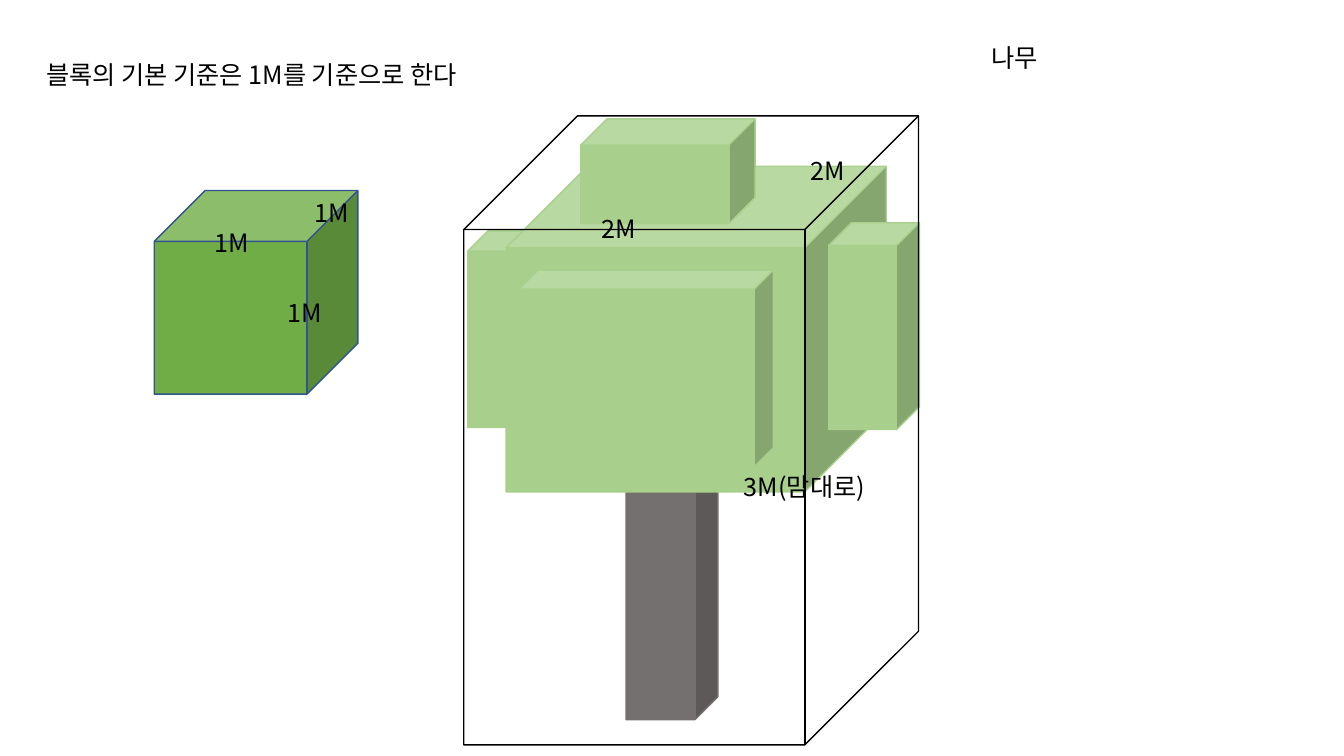
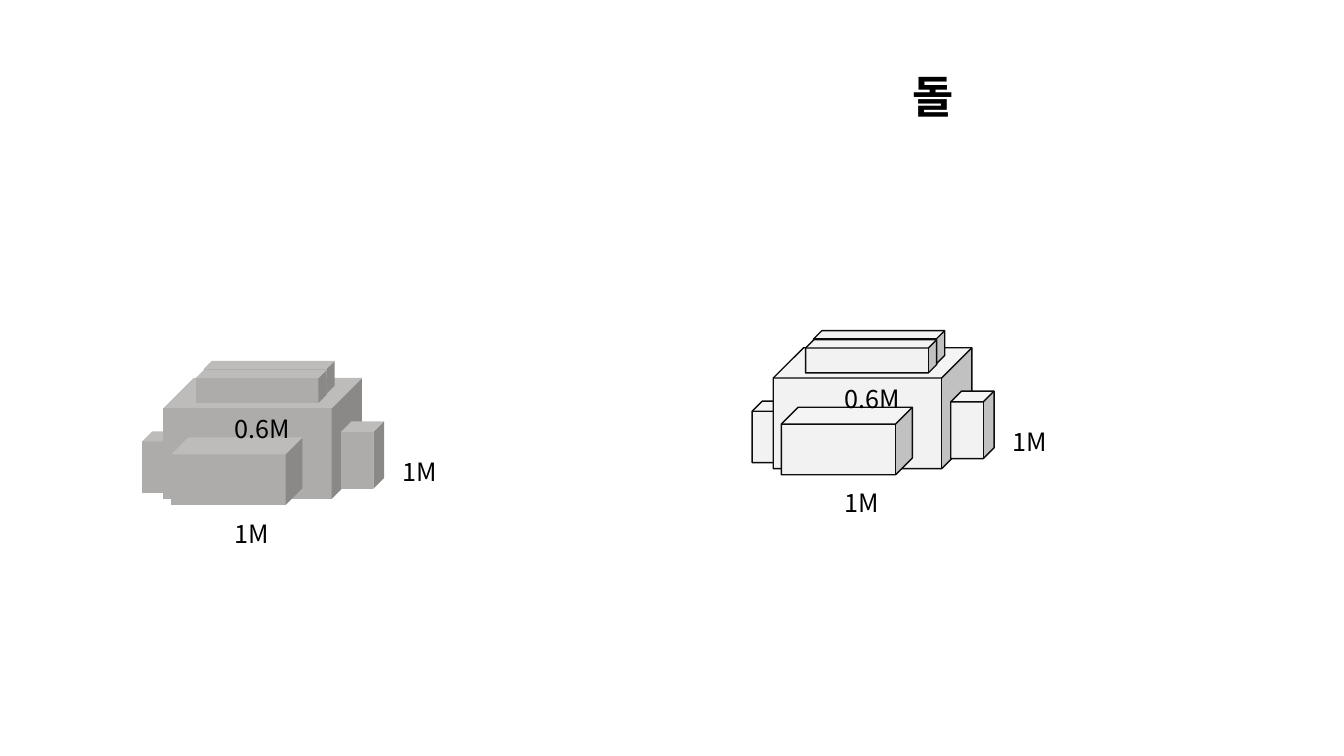
from pptx import Presentation
from pptx.dml.color import RGBColor
from pptx.enum.shapes import MSO_SHAPE as Shape
from pptx.enum.text import MSO_ANCHOR as Anchor, PP_ALIGN as Align
from pptx.oxml.ns import qn
from pptx.util import Inches, Pt
from lxml.etree import SubElement

FONT = "Noto Sans CJK KR"
BLACK = RGBColor(0x00, 0x00, 0x00)
GREEN = RGBColor(0x70, 0xAD, 0x47)
NAVY = RGBColor(0x31, 0x53, 0x8F)
LEAF = RGBColor(0xA8, 0xD0, 0x8C)
BARK = RGBColor(0x75, 0x70, 0x70)
STONE = RGBColor(0xAE, 0xAB, 0xAB)
PALE = RGBColor(0xF2, 0xF2, 0xF2)
INK = RGBColor(0x0C, 0x0C, 0x0C)

# Tree slide: cubes as (box, fill, line, depth), labels as (text, box)
BLOCK = ((1.53, 1.89, 2.02, 2.02), GREEN, NAVY, 0.25)
TREE = [
    ((4.64, 2.29, 0.8, 1.95), LEAF, LEAF, 0.25),
    ((6.21, 3.67, 0.91, 3.47), BARK, BARK, 0.25),
    ((5.02, 1.65, 3.77, 3.23), LEAF, LEAF, 0.25),
    ((5.76, 1.18, 1.73, 1.04), LEAF, LEAF, 0.25),
    ((8.22, 2.21, 0.9, 2.05), LEAF, LEAF, 0.25),
    ((5.15, 2.68, 2.52, 1.95), LEAF, LEAF, 0.096),
]
FRAME = ((4.6, 1.15, 4.51, 6.24), None, BLACK, 0.25)
SIZES = [
    ("1M", (2.03, 2.21, 0.7, 0.4)),
    ("1M", (3.02, 1.91, 0.7, 0.4)),
    ("1M", (2.75, 2.9, 0.7, 0.4)),
    ("블록의 기본 기준은 1M를 기준으로 한다", (0.36, 0.54, 5.39, 0.4)),
    ("2M", (5.87, 2.07, 1.6, 0.4)),
    ("2M", (7.94, 1.49, 1.71, 0.4)),
    ("3M(맘대로)", (7.28, 4.63, 1.76, 0.4)),
]

# Rock slide: one rock, placed twice as (dx, dy, fill, line)
ROCK = [
    (1.41, 4.28, 0.4, 0.61),
    (1.62, 3.75, 1.97, 1.2),
    (1.7, 4.34, 1.3, 0.67),
    (3.38, 4.18, 0.43, 0.67),
    (2.02, 3.58, 1.3, 0.33),
    (1.94, 3.67, 1.3, 0.33),
]
MARKS = [
    ("1M", (2.23, 5.09, 0.6, 0.4)),
    ("1M", (3.89, 4.48, 0.6, 0.4)),
    ("0.6M", (2.23, 4.05, 0.92, 0.4)),
]
COPIES = [(0, 0, STONE, None), (6.05, -0.3, PALE, INK)]


def place(box):
    return [Inches(n) for n in box]


def shift(box, dx, dy):
    x, y, w, h = box
    return x + dx, y + dy, w, h


def write(shape, text, size=18, bold=False):
    frame = shape.text_frame
    frame.word_wrap = True
    frame.vertical_anchor = Anchor.TOP
    para = frame.paragraphs[0]
    para.text = text
    para.alignment = Align.LEFT
    para.line_spacing = 1.0
    font = para.font
    font.size, font.bold, font.name = Pt(size), bold, FONT
    font.color.rgb = BLACK
    # Hangul takes the East Asian typeface
    props = para._p.pPr.find(qn("a:defRPr"))
    SubElement(props, qn("a:ea")).set("typeface", FONT)


def label(slide, text, box):
    write(slide.shapes.add_textbox(*place(box)), text)


def cube(slide, box, fill, line, depth=0.25):
    shape = slide.shapes.add_shape(Shape.CUBE, *place(box))
    shape.adjustments[0] = depth
    shape.shadow.inherit = False
    if fill is None:
        shape.fill.background()
    else:
        shape.fill.solid()
        shape.fill.fore_color.rgb = fill
    if line is None:
        shape.line.fill.background()
    else:
        shape.line.color.rgb = line
        shape.line.width = Pt(1)


def start(deck, text, box, size, bold):
    slide = deck.slides.add_slide(deck.slide_layouts[5])
    title = slide.shapes.title
    title.left, title.top, title.width, title.height = place(box)
    write(title, text, size, bold)
    return slide


def main():
    deck = Presentation()
    deck.slide_width, deck.slide_height = Inches(13.33), Inches(7.5)

    # Tree
    slide = start(deck, "나무", (9.73, 0.37, 0.94, 0.4), 18, False)
    for part in [BLOCK, *TREE, FRAME]:
        cube(slide, *part)
    for text, box in SIZES:
        label(slide, text, box)

    # Rocks
    slide = start(deck, "돌", (8.95, 0.63, 2.42, 0.64), 32, True)
    for dx, dy, fill, line in COPIES:
        for box in ROCK:
            cube(slide, shift(box, dx, dy), fill, line)
        for text, box in MARKS:
            label(slide, text, shift(box, dx, dy))

    deck.save("out.pptx")


if __name__ == "__main__":
    main()
